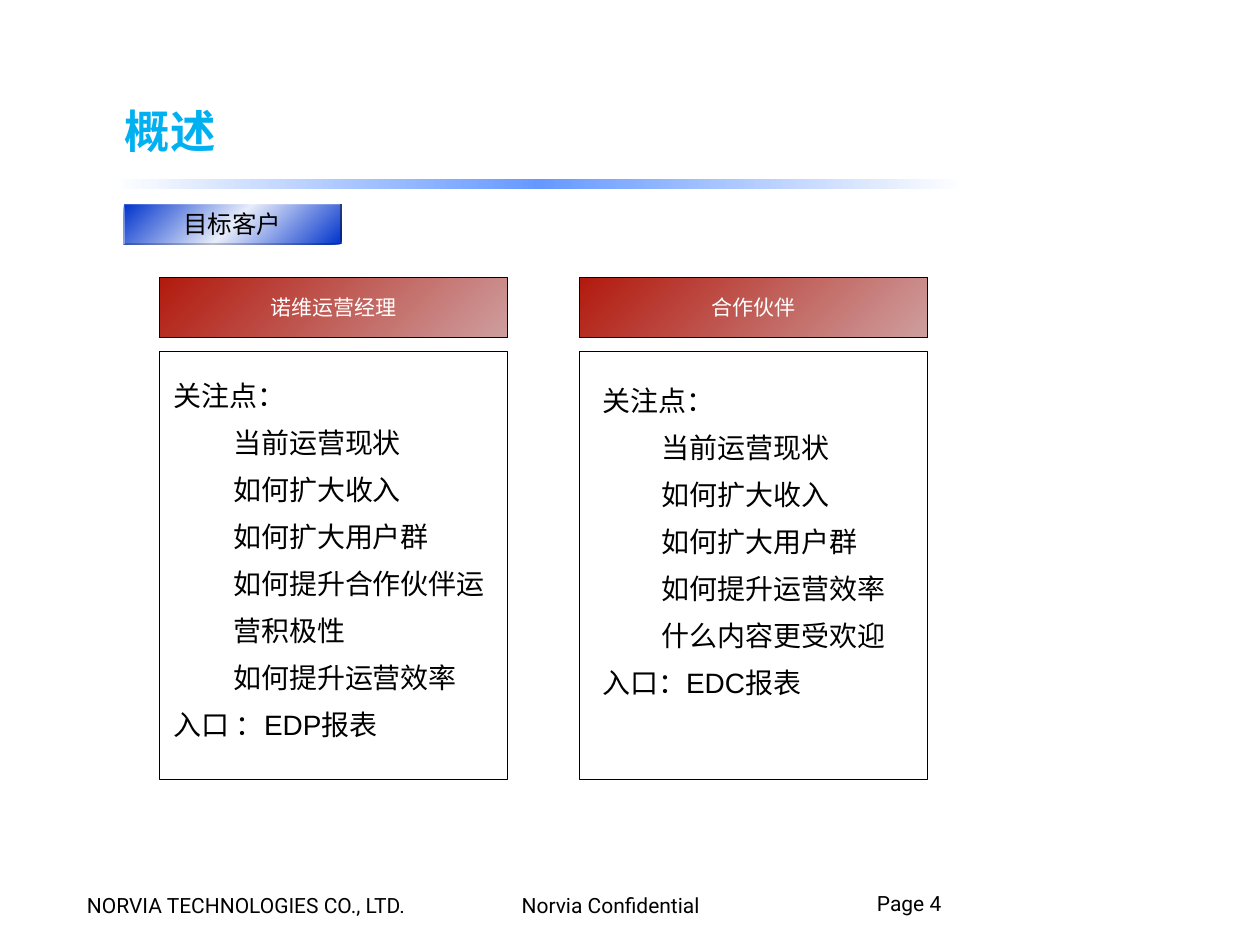
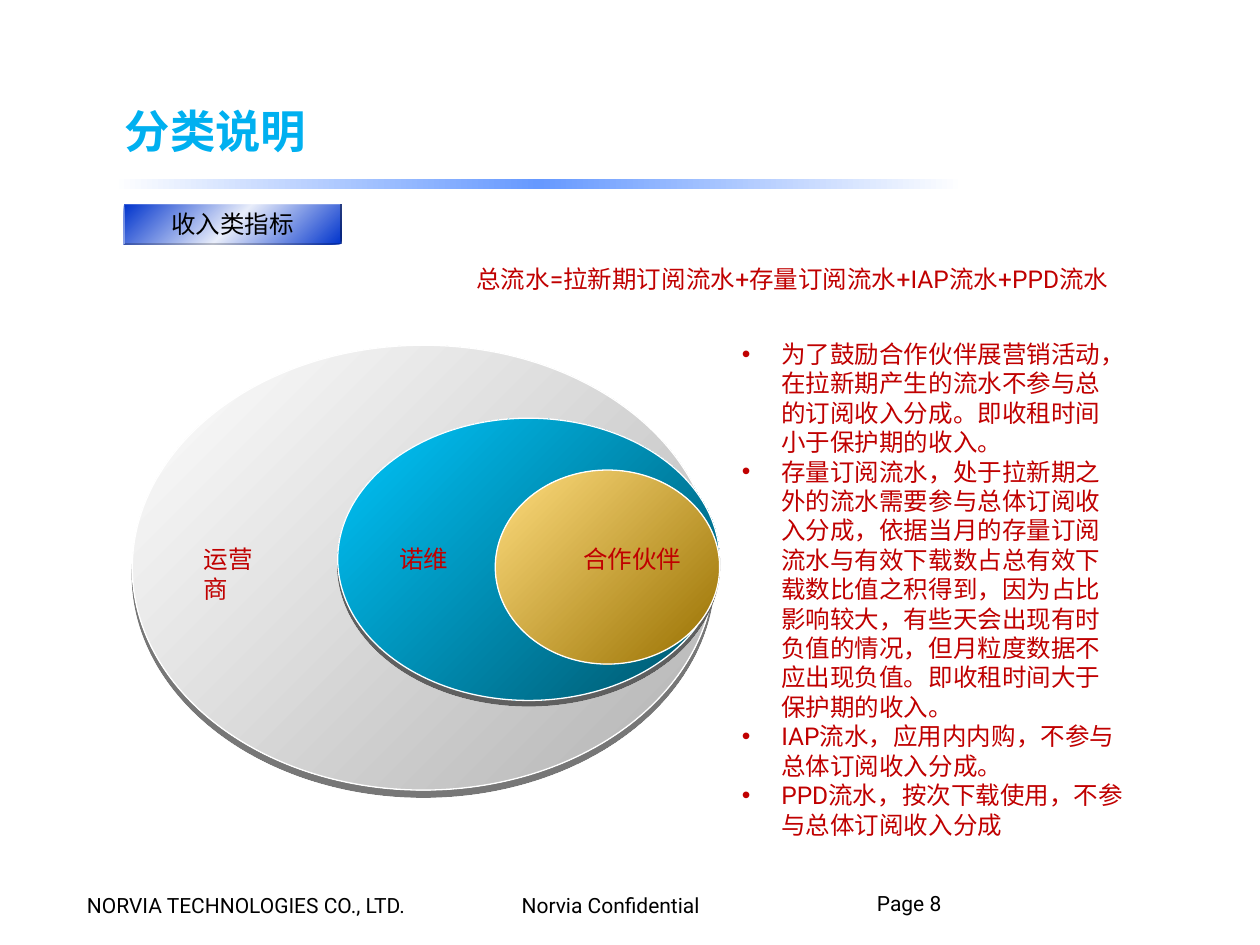
import lxml.etree
import pptx
import pptx.dml.color
import pptx.enum.shapes
import pptx.enum.text
import pptx.oxml.ns
import pptx.util

Pt = pptx.util.Pt
RGB = pptx.dml.color.RGBColor.from_string
SHAPE = pptx.enum.shapes.MSO_SHAPE
ALIGN = pptx.enum.text.PP_ALIGN
ANCHOR = pptx.enum.text.MSO_ANCHOR
AUTO_SIZE = pptx.enum.text.MSO_AUTO_SIZE
qn = pptx.oxml.ns.qn


class Theme:
    text = "000000"
    white = "FFFFFF"
    title = "00B0F0"
    accent = "C00000"
    rule = ("FFFFFF", "6699FF", "FFFFFF")
    tag = ("0033CC", "E8EDFA", "0033CC")
    header = ("B21A0E", "CE9E9E")
    title_size = 25.9
    panel_size = 16
    body_size = 14
    small_size = 12
    font = "Roboto"
    body_font = "Arial"
    cjk_font = "Noto Sans CJK SC"


def write(tf, lines, size, color, font=Theme.font, align=ALIGN.LEFT,
          spacing=None, margins=None, wrap=True, bold=False):
    tf.word_wrap = wrap
    if margins:
        tf.margin_left = tf.margin_right = Pt(margins[0])
        tf.margin_top = tf.margin_bottom = Pt(margins[1])
    for i, line in enumerate(lines):
        p = tf.add_paragraph() if i else tf.paragraphs[0]
        p.alignment = align
        p.line_spacing = spacing
        r = p.add_run()
        r.text = line
        r.font.size = Pt(size)
        r.font.bold = bold
        r.font.name = font
        r.font.color.rgb = RGB(color)
        ea = lxml.etree.SubElement(r._r.get_or_add_rPr(), qn("a:ea"))
        ea.set("typeface", Theme.cjk_font)


def add_shape(s, kind, box, colors, angle=45, line=None, width=0.5):
    sp = s.shapes.add_shape(kind, *map(Pt, box))
    sp.shadow.inherit = False
    if len(colors) == 1:
        sp.fill.solid()
        sp.fill.fore_color.rgb = RGB(colors[0])
    else:
        sp.fill.gradient()
        sp.fill.gradient_angle = (360 - angle) % 360
        stops = sp._element.spPr.find(".//" + qn("a:gsLst"))
        for stop in list(stops):
            stops.remove(stop)
        for i, color in enumerate(colors):
            stop = lxml.etree.SubElement(stops, qn("a:gs"))
            stop.set("pos", str(100000 * i // (len(colors) - 1)))
            lxml.etree.SubElement(stop, qn("a:srgbClr")).set("val", color)
    if line:
        sp.line.color.rgb = RGB(line)
        sp.line.width = Pt(width)
    else:
        sp.line.fill.background()
    return sp


prs = pptx.Presentation()
prs.slide_width, prs.slide_height = Pt(720), Pt(540)

slides = []
for title, tag, page in (("概述", "目标客户", 4), ("分类说明", "收入类指标", 8)):
    s = prs.slides.add_slide(prs.slide_layouts[5])
    slides.append(s)

    sp = s.shapes.title
    sp.left, sp.top, sp.width, sp.height = map(Pt, (64.8, 56.9, 459.4, 39.6))
    tf = sp.text_frame
    tf.auto_size = AUTO_SIZE.NONE
    tf.vertical_anchor = ANCHOR.MIDDLE
    write(tf, [title], Theme.title_size, Theme.title, Theme.body_font,
          spacing=0.9, margins=(6.5, 3), bold=True)

    add_shape(s, SHAPE.RECTANGLE, (64.8, 102.2, 486, 5.8), Theme.rule, angle=0)

    sp = add_shape(s, SHAPE.BEVEL, (70.6, 116.6, 124.6, 23), Theme.tag)
    sp.adjustments[0] = 0.02
    sp.text_frame.vertical_anchor = ANCHOR.MIDDLE
    write(sp.text_frame, [tag], Theme.body_size, Theme.text,
          align=ALIGN.CENTER, wrap=False)

    for text, box, margins, spacing, wrap in (
        ("NORVIA TECHNOLOGIES CO., LTD.", (43.2, 506.9, 222.5, 20.9), (6.5, 3), None, False),
        ("Norvia Confidential", (291.6, 506.9, 157, 20.9), (6.5, 3), None, False),
        (f"Page {page}", (501.1, 511.2, 164.9, 36), (0, 0), 0.85, True),
    ):
        sp = s.shapes.add_textbox(*map(Pt, box))
        write(sp.text_frame, [text], Theme.small_size, Theme.text,
              spacing=spacing, margins=margins, wrap=wrap)

overview, categories = slides

panels = (
    ("诺维运营经理", 91.4, (99.4, 208.8, 185.8, 214.6),
     ["关注点：", "当前运营现状", "如何扩大收入", "如何扩大用户群",
      "如何提升合作伙伴运营积极性", "如何提升运营效率", "入口 ：EDP报表"]),
    ("合作伙伴", 331.2, (344.2, 211.7, 185.8, 187.9),
     ["关注点：", "当前运营现状", "如何扩大收入", "如何扩大用户群",
      "如何提升运营效率", "什么内容更受欢迎", "入口：EDC报表"]),
)
for name, left, text_box, lines in panels:
    add_shape(overview, SHAPE.RECTANGLE, (left, 200.9, 198.7, 244.8),
              [Theme.white], line=Theme.text)
    sp = add_shape(overview, SHAPE.RECTANGLE, (left, 158.4, 198.7, 34.6),
                   Theme.header, line=Theme.text)
    sp.text_frame.vertical_anchor = ANCHOR.MIDDLE
    write(sp.text_frame, [name], Theme.small_size, Theme.white, align=ALIGN.CENTER)

    sp = overview.shapes.add_textbox(*map(Pt, text_box))
    write(sp.text_frame, lines, Theme.panel_size, Theme.text, Theme.body_font,
          spacing=1.4, margins=(0, 0))
    for p in sp.text_frame.paragraphs[1:-1]:
        p._p.get_or_add_pPr().set("marL", str(Pt(34)))

ellipses = (
    ((75.6, 197.3, 332.6, 254.2), ("FFFFFF", "B2B2B2"), ("777777", 4)),
    ((193, 239, 218.2, 161.3), ("00C6FC", "005368"), ("5F5F5F", 3)),
    ((283, 268.6, 128.2, 110.9), ("FFDD7F", "987000"), None),
)
for box, colors, shadow in ellipses:
    sp = add_shape(categories, SHAPE.OVAL, box, colors, line=Theme.white, width=0.75)
    if shadow:
        color, distance = shadow
        effects = sp._element.spPr.find(qn("a:effectLst"))
        outer = lxml.etree.SubElement(effects, qn("a:outerShdw"))
        outer.set("dist", str(Pt(distance)))
        outer.set("dir", "5400000")
        lxml.etree.SubElement(outer, qn("a:srgbClr")).set("val", color)

for text, box in (
    ("运营商", (109.4, 307.4, 56.2, 24.5)),
    ("诺维", (221, 307.4, 42.5, 24.5)),
    ("合作伙伴", (326.2, 307.4, 70.6, 24.5)),
    ("总流水=拉新期订阅流水+存量订阅流水+IAP流水+PPD流水", (265, 147.6, 403.2, 24.5)),
):
    sp = categories.shapes.add_textbox(*map(Pt, box))
    write(sp.text_frame, [text], Theme.body_size, Theme.accent, wrap=False)

notes = [
    "为了鼓励合作伙伴展营销活动，在拉新期产生的流水不参与总的订阅收入分成。即收租时间小于保护期的收入。",
    "存量订阅流水，处于拉新期之外的流水需要参与总体订阅收入分成，依据当月的存量订阅流水与"
    "有效下载数占总有效下载数比值之积得到，因为占比影响较大，有些天会出现有时负值的情况，"
    "但月粒度数据不应出现负值。即收租时间大于保护期的收入。",
    "IAP流水，应用内内购，不参与总体订阅收入分成。",
    "PPD流水，按次下载使用，不参与总体订阅收入分成",
]
sp = categories.shapes.add_textbox(*map(Pt, (416.9, 190.1, 232.6, 310.3)))
write(sp.text_frame, notes, Theme.body_size, Theme.accent)
for p in sp.text_frame.paragraphs:
    pPr = p._p.get_or_add_pPr()
    pPr.set("marL", str(Pt(22.5)))
    pPr.set("indent", str(-Pt(22.5)))
    lxml.etree.SubElement(pPr, qn("a:buFont")).set("typeface", Theme.body_font)
    lxml.etree.SubElement(pPr, qn("a:buChar")).set("char", "•")

prs.save("out.pptx")
